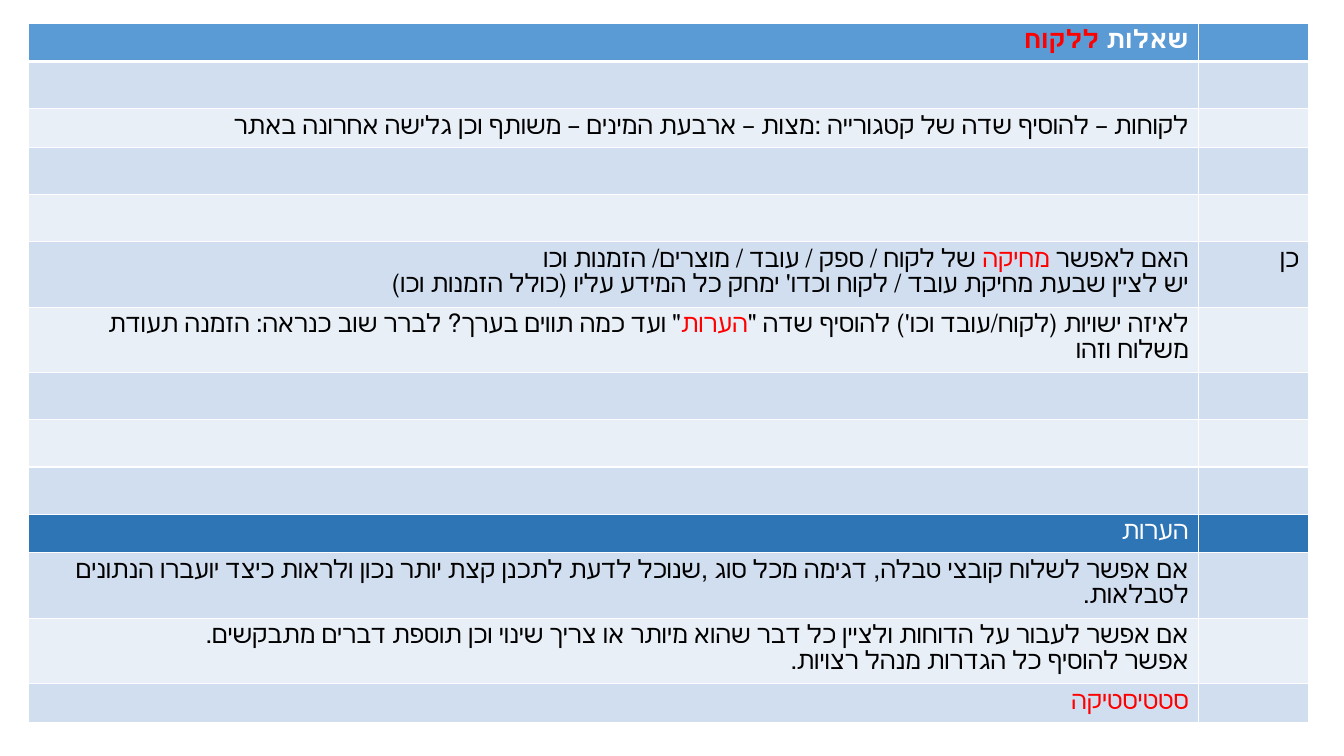
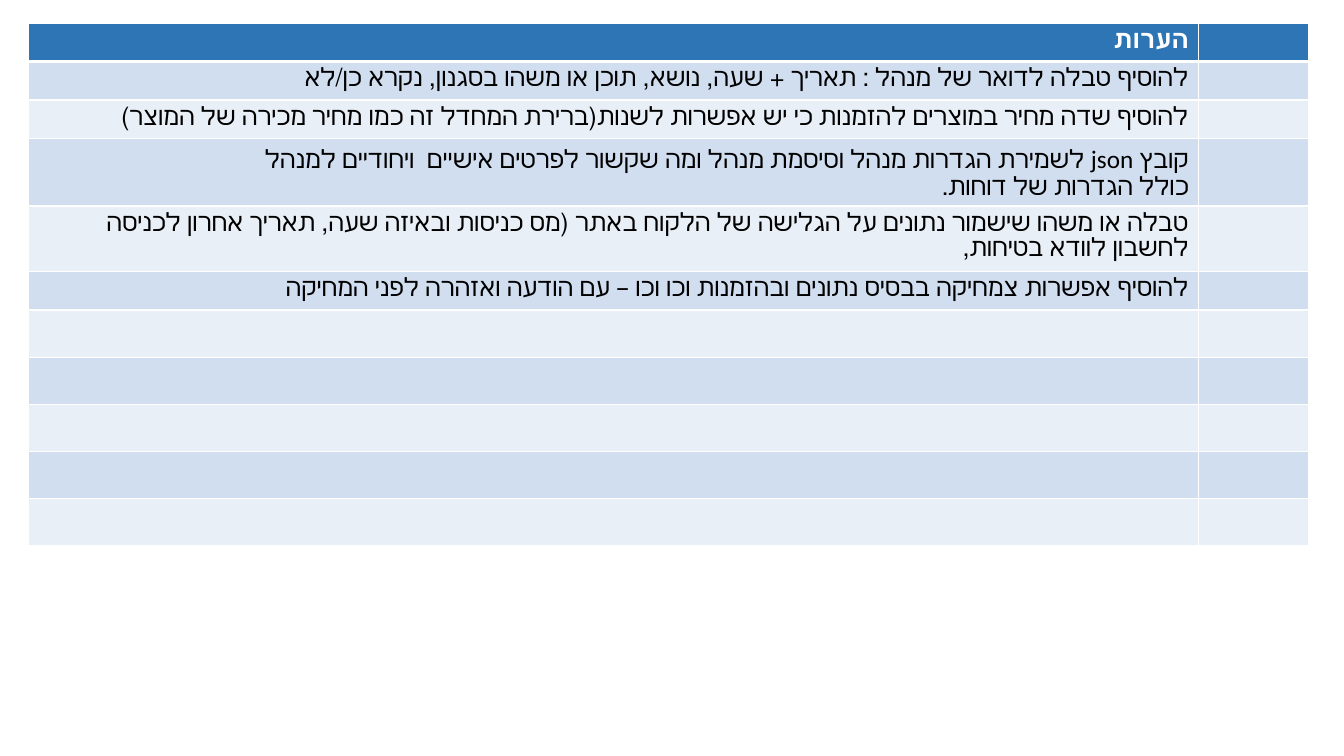
from dataclasses import dataclass

from lxml.etree import SubElement as Sub
from pptx import Presentation
from pptx.dml.color import RGBColor
from pptx.enum.lang import MSO_LANGUAGE_ID as Lang
from pptx.enum.text import MSO_ANCHOR as Anchor, PP_ALIGN as Align
from pptx.oxml import parse_xml
from pptx.oxml.ns import qn
from pptx.util import Cm, Pt

# Shared look
FONT, SIZE, PITCH = "Calibri", 18, 18.2
WHITE, BLACK, RED = "FFFFFF", "000000", "FF0000"
SKY, NAVY = "5B9BD5", "2E75B6"
BANDS = ("E9EFF7", "D1DEEF")
LEFT, TOP = 0.71, 0.58
COLS = (29.5, 2.78)
ONE, GAP, TWO, TALL = 0.97, 1.19, 1.65, 1.7
THIN, THICK = 0.96, 3
NS = "http://schemas.openxmlformats.org/drawingml/2006/main"


@dataclass
class Run:
    text: str
    tone: str = BLACK
    bold: bool = False


@dataclass
class Row:
    high: float
    lines: tuple[tuple[Run, ...], ...] = ()
    note: tuple[tuple[Run, ...], ...] = ()
    fill: str = ""  # empty: take the band colour


def plain(high: float, *texts: str) -> Row:
    return Row(high, tuple((Run(text),) for text in texts))


def head(fill: str, *runs: Run) -> Row:
    return Row(ONE, (runs,), fill=fill)


def color(code: str) -> RGBColor:
    return RGBColor.from_string(code)


# Cell parts
def edge(cell, above: float, below: float) -> None:
    props = cell._tc.get_or_add_tcPr()
    sides = {"L": THIN, "R": THIN, "T": above, "B": below}
    for i, (side, width) in enumerate(sides.items()):
        props.insert(i, parse_xml(
            f'<a:ln{side} xmlns:a="{NS}" w="{int(Pt(width))}"><a:solidFill>'
            f'<a:srgbClr val="{WHITE}"/></a:solidFill></a:ln{side}>'))


def write(cell, lines: tuple[tuple[Run, ...], ...]) -> None:
    frame = cell.text_frame
    for i, runs in enumerate(lines or ((),)):
        para = frame.add_paragraph() if i else frame.paragraphs[0]
        para.alignment = Align.RIGHT
        para.line_spacing = Pt(PITCH)
        para._p.get_or_add_pPr().set("rtl", "1")
        for item in runs:
            run = para.add_run()
            run.text = item.text
            font = run.font
            font.size, font.bold, font.name = Pt(SIZE), item.bold, FONT
            font.language_id = Lang.HEBREW
            font.color.rgb = color(item.tone)
        if not runs:  # keeps empty cells from stretching the row
            Sub(para._p, qn("a:endParaRPr")).set("sz", "1200")


def draw(deck, rows: list[Row]) -> None:
    slide = deck.slides.add_slide(deck.slide_layouts[6])
    total = sum(row.high for row in rows)
    table = slide.shapes.add_table(
        len(rows), len(COLS), Cm(LEFT), Cm(TOP), Cm(sum(COLS)), Cm(total)).table
    table.first_row = table.horz_banding = False
    for col, width in zip(table.columns, COLS):
        col.width = Cm(width)
    for i, row in enumerate(rows):
        table.rows[i].height = Cm(row.high)
        for j, lines in enumerate((row.lines, row.note)):
            cell = table.cell(i, j)
            cell.vertical_anchor = Anchor.BOTTOM if row.high == TALL else Anchor.TOP
            cell.fill.solid()
            cell.fill.fore_color.rgb = color(row.fill or BANDS[i % 2])
            edge(cell, THICK if i == 1 else THIN, THICK if i == 0 else THIN)
            write(cell, lines)


# Content
ASKS = [
    head(SKY, Run("שאלות ", WHITE, True), Run("ללקוח", RED, True)),
    Row(GAP),
    plain(ONE, "לקוחות – להוסיף שדה של קטגורייה :מצות – ארבעת המינים – משותף וכן גלישה אחרונה באתר"),
    Row(GAP),
    Row(GAP),
    Row(TWO, (
        (Run("האם לאפשר "), Run("מחיקה", RED),
         Run(" של לקוח / ספק / עובד / מוצרים/ הזמנות וכו ")),
        (Run("יש לציין שבעת מחיקת עובד / לקוח וכדו' ימחק כל המידע עליו (כולל הזמנות וכו)"),),
    ), ((Run("כן"),),)),
    Row(TWO, ((
        Run("לאיזה ישויות (לקוח/עובד וכו') להוסיף שדה \""), Run("הערות", RED),
        Run("\" ועד כמה תווים בערך? לברר שוב כנראה: הזמנה תעודת משלוח וזהו")),)),
    Row(GAP),
    Row(GAP),
    Row(GAP),
    head(NAVY, Run("הערות", WHITE)),
    plain(TWO, "אם אפשר לשלוח קובצי טבלה, דגימה מכל סוג ,שנוכל לדעת לתכנן קצת יותר נכון "
               "ולראות כיצד יועברו הנתונים לטבלאות."),
    plain(TWO, "אם אפשר לעבור על הדוחות ולציין כל דבר שהוא מיותר או צריך שינוי וכן תוספת דברים מתבקשים.",
          "אפשר להוסיף כל הגדרות מנהל רצויות."),
    Row(ONE, ((Run("סטטיסטיקה", RED),),)),
]

NOTES = [
    head(NAVY, Run("הערות", WHITE, True)),
    plain(ONE, "להוסיף טבלה לדואר של מנהל : תאריך + שעה, נושא, תוכן או משהו בסגנון, נקרא כן/לא"),
    plain(ONE, "להוסיף שדה מחיר במוצרים להזמנות כי יש אפשרות לשנות(ברירת המחדל זה כמו מחיר מכירה של המוצר)"),
    plain(TALL, "קובץ json לשמירת הגדרות מנהל וסיסמת מנהל ומה שקשור לפרטים אישיים  ויחודיים למנהל",
          "כולל הגדרות של דוחות."),
    plain(TWO, "טבלה או משהו שישמור נתונים על הגלישה של הלקוח באתר (מס כניסות ובאיזה שעה, "
               "תאריך אחרון לכניסה לחשבון לוודא בטיחות, "),
    plain(ONE, "להוסיף אפשרות צמחיקה בבסיס נתונים ובהזמנות וכו וכו – עם הודעה ואזהרה לפני המחיקה"),
    *[Row(GAP)] * 5,
]


def main() -> None:
    deck = Presentation()
    deck.slide_width, deck.slide_height = Cm(33.87), Cm(19.05)
    for rows in (ASKS, NOTES):
        draw(deck, rows)
    deck.save("out.pptx")


if __name__ == "__main__":
    main()
